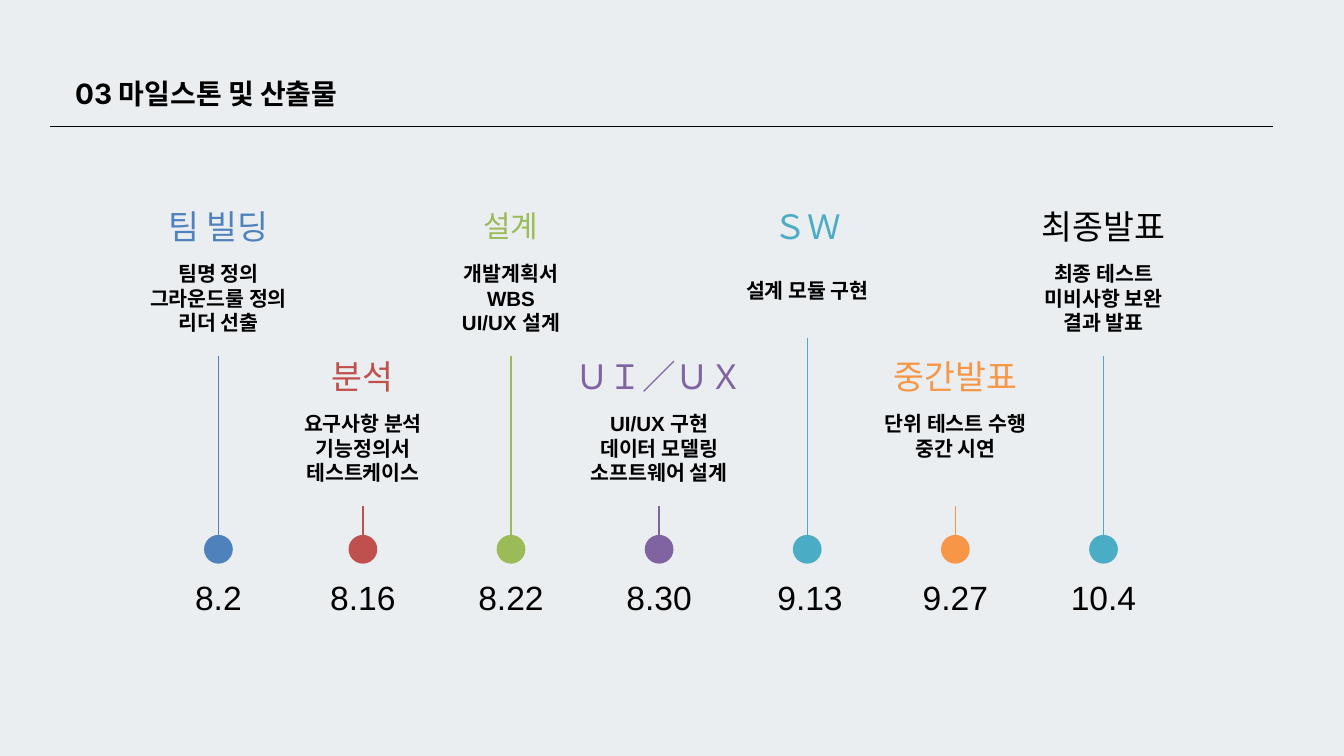
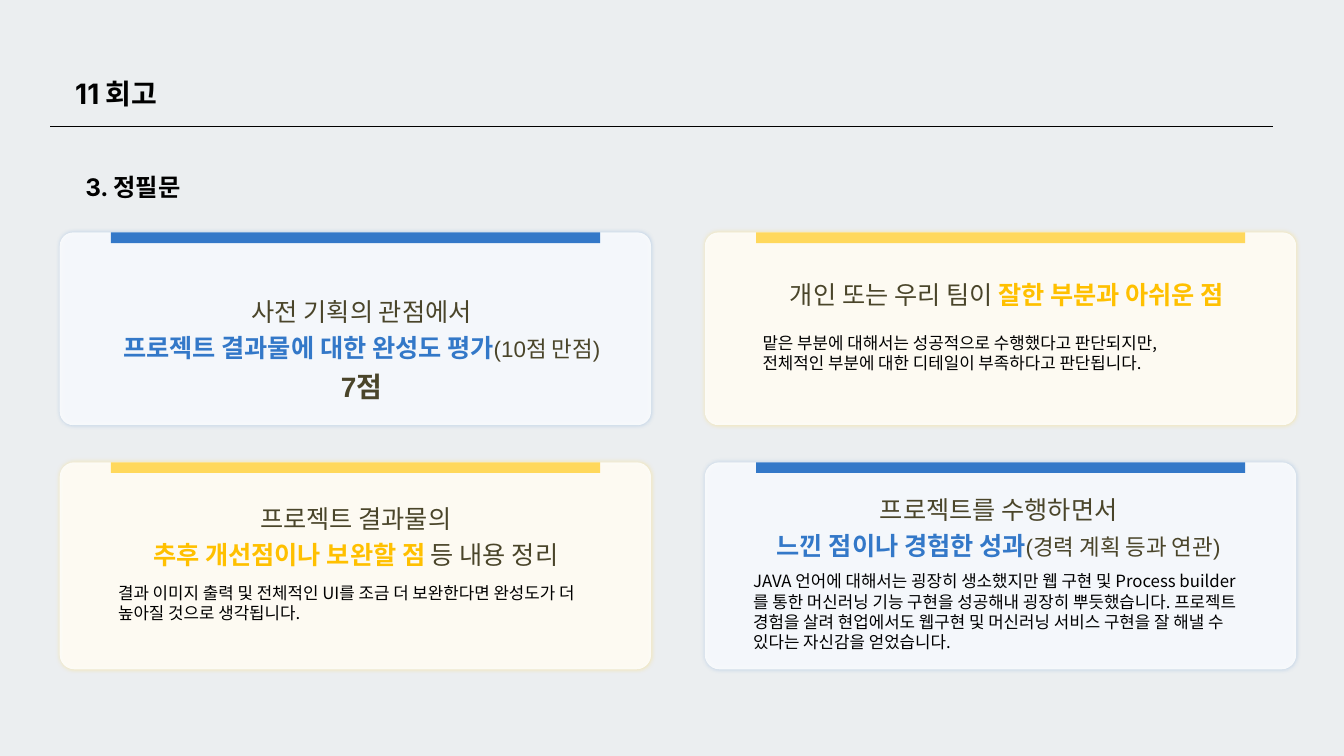
from dataclasses import dataclass
from typing import NamedTuple

from lxml import etree
from pptx import Presentation
from pptx.dml.color import RGBColor
from pptx.enum import shapes as kinds, text as layout
from pptx.oxml import ns
from pptx.util import Pt


@dataclass(frozen=True)
class Theme:
    background: str = "EBEEF0"
    black: str = "000000"
    white: str = "FFFFFF"
    brown: str = "4A452A"
    blue: str = "3378C8"
    yellow: str = "FFD85C"
    gold: str = "FFC000"
    sky: str = "4F81BD"
    red: str = "C0504D"
    green: str = "9BBB59"
    purple: str = "8064A2"
    teal: str = "4BACC6"
    orange: str = "F79646"
    title_font: str = "Inter"
    main_font: str = "Arial"
    body_font: str = "Noto Sans CJK KR"
    title_size: float = 30
    subtitle_size: float = 26
    milestone_size: float = 36
    detail_size: float = 22
    heading_size: float = 27
    note_size: float = 24
    score_size: float = 30
    body_size: float = 18


THEME = Theme()


class Box(NamedTuple):
    left: float
    top: float
    width: float
    height: float

    def inside(self, left, top, width, height):
        return Box(self.left + left, self.top + top, width, height)

    def points(self):
        return [Pt(value) for value in self]


class Style(NamedTuple):
    size: float
    color: str = THEME.black
    bold: bool = False
    name: str = THEME.main_font

    def apply(self, font):
        font.size = Pt(self.size)
        font.bold = self.bold
        font.name = self.name
        font.color.rgb = RGBColor.from_string(self.color)


class Milestone(NamedTuple):
    name: str
    date: str
    color: str
    details: list
    name_color: str = ""
    name_size: float = THEME.milestone_size
    detail_drop: float = 0
    stem_rise: float = 0
    date_shift: float = 0


class Card(NamedTuple):
    column: int
    row: int
    color: str
    shadow_alpha: int
    heading_box: tuple
    heading: list
    spacing: float = 1.2
    body_box: tuple = ()
    body: tuple = ()


HEADING = Style(THEME.heading_size, THEME.brown)
NOTE = Style(THEME.note_size, THEME.brown)
BLUE_HEADING = Style(THEME.heading_size, THEME.blue, True)
GOLD_HEADING = Style(THEME.heading_size, THEME.gold, True)
SCORE = Style(THEME.score_size, THEME.brown, True)
DETAIL = Style(THEME.detail_size, bold=True)
BODY = Style(THEME.body_size, name=THEME.body_font)
TITLE = Style(THEME.title_size, bold=True, name=THEME.title_font)
SUBTITLE = Style(THEME.subtitle_size, bold=True, name=THEME.title_font)

MILESTONES = [
    Milestone("팀 빌딩", "8.2", THEME.sky, ["팀명 정의", "그라운드룰 정의", "리더 선출"]),
    Milestone("분석", "8.16", THEME.red, ["요구사항 분석", "기능정의서", "테스트케이스"]),
    Milestone("설계", "8.22", THEME.green, ["개발계획서", "WBS", "UI/UX 설계"], name_size=32),
    Milestone("ＵＩ／ＵＸ", "8.30", THEME.purple,
              ["UI/UX 구현", "데이터 모델링", "소프트웨어 설계"]),
    Milestone("ＳＷ", "9.13", THEME.teal, ["설계 모듈 구현"],
              detail_drop=18, stem_rise=19.5, date_shift=3),
    Milestone("중간발표", "9.27", THEME.orange, ["단위 테스트 수행", "중간 시연"]),
    Milestone("최종발표", "10.4", THEME.teal, ["최종 테스트", "미비사항 보완", "결과 발표"],
              name_color=THEME.black),
]

CARDS = [
    Card(0, 0, THEME.blue, 30, (25, 58.3, 597, 125.3), [
        [("사전 기획의 관점에서", HEADING)],
        [("프로젝트 결과물에 대한 완성도 평가", BLUE_HEADING), ("(10점 만점)", NOTE)],
        [("7점", SCORE)]]),
    Card(0, 1, THEME.yellow, 55, (44, 33.8, 546, 88), [
        [("프로젝트 결과물의", HEADING)],
        [("추후 개선점이나 보완할 점 ", GOLD_HEADING), ("등 내용 정리", HEADING)]],
        body_box=(55.4, 125.3, 540.7, 51),
        body=("결과 이미지 출력 및 전체적인 UI를 조금 더 보완한다면 완성도가 더 "
              "높아질 것으로 생각됩니다.",)),
    Card(1, 1, THEME.blue, 30, (41.8, 24.5, 546, 88), [
        [("프로젝트를 수행하면서", HEADING)],
        [("느낀 점이나 경험한 성과", BLUE_HEADING), ("(경력 계획 등과 연관)", NOTE)]],
        body_box=(44.6, 113, 540.7, 94.3),
        body=("JAVA 언어에 대해서는 굉장히 생소했지만 웹 구현 및 Process builder를 통한 "
              "머신러닝 기능 구현을 성공해내 굉장히 뿌듯했습니다. 프로젝트 경험을 살려 "
              "현업에서도 웹구현 및 머신러닝 서비스 구현을 잘 해낼 수 있다는 자신감을 "
              "얻었습니다.",)),
    Card(1, 0, THEME.yellow, 55, (28.8, 44, 589.7, 40.3), [
        [("개인 또는 우리 팀이 ", HEADING), ("잘한 부분과 아쉬운 점", GOLD_HEADING)]],
        spacing=1.1, body_box=(54.7, 103.7, 540.7, 51),
        body=("맡은 부분에 대해서는 성공적으로 수행했다고 판단되지만,",
              "전체적인 부분에 대한 디테일이 부족하다고 판단됩니다.")),
]


def add_text(shapes, box, lines, centred=False, middle=False, inset=None,
             spacing=None, grow=True):
    """Each line is a list of (text, style) runs."""
    frame = shapes.add_textbox(*box.points()).text_frame
    frame.word_wrap = True
    frame.auto_size = (layout.MSO_AUTO_SIZE.SHAPE_TO_FIT_TEXT if grow
                       else layout.MSO_AUTO_SIZE.NONE)
    if middle:
        frame.vertical_anchor = layout.MSO_ANCHOR.MIDDLE
    if inset is not None:
        frame.margin_left = frame.margin_right = Pt(inset)
        frame.margin_top = frame.margin_bottom = Pt(inset)
    for index, line in enumerate(lines):
        paragraph = frame.add_paragraph() if index else frame.paragraphs[0]
        if centred:
            paragraph.alignment = layout.PP_ALIGN.CENTER
        if spacing is not None:
            paragraph.line_spacing = spacing
        if len(line) == 1:
            line[0][1].apply(paragraph.font)
        for words, style in line:
            run = paragraph.add_run()
            run.text = words
            if len(line) > 1:
                style.apply(run.font)


def add_filled(shapes, kind, box, color):
    shape = shapes.add_shape(kind, *box.points())
    shape.shadow.inherit = False
    shape.fill.solid()
    shape.fill.fore_color.rgb = RGBColor.from_string(color)
    shape.line.fill.background()
    return shape


def add_line(shapes, start, end, color, width):
    line = shapes.add_connector(kinds.MSO_CONNECTOR.STRAIGHT,
                                *(Pt(value) for value in (*start, *end)))
    line.line.color.rgb = RGBColor.from_string(color)
    line.line.width = Pt(width)
    etree.SubElement(line._element.spPr, ns.qn("a:effectLst"))
    return line


def add_alpha(color_element, percent):
    etree.SubElement(color_element, ns.qn("a:alpha"), val=str(percent * 1000))


def add_glow_shadow(shape, color, percent, blur):
    """Put a soft shadow evenly around the shape."""
    effects = shape._element.spPr.find(ns.qn("a:effectLst"))
    shadow = etree.SubElement(effects, ns.qn("a:outerShdw"), blurRad=str(Pt(blur)),
                              dist="0", dir="0", algn="ctr", rotWithShape="0")
    add_alpha(etree.SubElement(shadow, ns.qn("a:srgbClr"), val=color), percent)


def add_title_line(shapes, box, words, style):
    add_text(shapes, box, [[(words, style)]], inset=0, spacing=Pt(42))


def add_titled_slide(presentation, title):
    slide = presentation.slides.add_slide(presentation.slide_layouts[6])
    slide.background.fill.solid()
    slide.background.fill.fore_color.rgb = RGBColor.from_string(THEME.background)
    add_title_line(slide.shapes, Box(80.6, 75.6, 368.6, 39), title, TITLE)
    add_line(slide.shapes, (54, 135.4), (1363.7, 135.4), THEME.black, 0.75)
    return slide


def draw_milestone(slide, box, milestone):
    """The box runs from the top of the name to the top of the dot."""
    shapes = slide.shapes.add_group_shape().shapes
    center = box.left + box.width / 2
    bottom = box.top + box.height
    dot_size, date_width, detail_height = 30.8, 130, 116
    detail_top = 46.6
    stem_top = box.top + detail_top + detail_height - milestone.stem_rise

    dot = add_filled(shapes, kinds.MSO_SHAPE.OVAL,
                     Box(center - dot_size / 2, bottom, dot_size, dot_size), milestone.color)
    stem = add_line(shapes, (center, stem_top), (center, bottom), milestone.color, 1.5)
    stem.end_connect(dot, 0)
    name_style = Style(milestone.name_size, milestone.name_color or milestone.color)
    labels = [
        (Box(center - date_width / 2 + milestone.date_shift, bottom + 43.2, date_width, 46.8),
         [[(milestone.date, Style(THEME.milestone_size))]], True),
        (box.inside(0, detail_top + milestone.detail_drop, box.width, detail_height),
         [[(detail, DETAIL)] for detail in milestone.details], False),
        (box.inside(0, 0, box.width, 46.8), [[(milestone.name, name_style)]], True),
    ]
    for label_box, lines, middle in labels:
        add_text(shapes, label_box, lines, centred=True, middle=middle, inset=14.4, grow=False)


def draw_timeline(slide, box):
    """Milestones alternate between a high and a low level."""
    step, first_gap, label_width, low_level = 158.7, 154.8, 240, 160.6
    for index, milestone in enumerate(MILESTONES):
        center = first_gap + (index - 1) * step if index else 0
        drop = low_level * (index % 2)
        draw_milestone(slide, box.inside(center - label_width / 2, drop,
                                         label_width, box.height - drop), milestone)


def draw_card(slide, box, card):
    shapes = slide.shapes.add_group_shape().shapes
    panel = add_filled(shapes, kinds.MSO_SHAPE.ROUNDED_RECTANGLE, box, THEME.white)
    panel.adjustments[0] = 0.07
    add_alpha(panel._element.spPr.find(ns.qn("a:solidFill"))[0], 85)
    add_glow_shadow(panel, card.color, card.shadow_alpha, 5)
    add_filled(shapes, kinds.MSO_SHAPE.RECTANGLE,
               box.inside(54.8, 0, 524.2, 11.5), card.color)
    add_text(shapes, box.inside(*card.heading_box), card.heading,
             centred=True, spacing=card.spacing)
    if card.body:
        add_text(shapes, box.inside(*card.body_box), [[(line, BODY)] for line in card.body])


def draw_cards(slide, box):
    column_step, row_step, width = 691.2, 246.3, 633.6
    heights = (206.6, 221.8)
    for card in CARDS:
        draw_card(slide, box.inside(card.column * column_step, card.row * row_step,
                                    width, heights[card.row]), card)


def main():
    presentation = Presentation()
    presentation.slide_width, presentation.slide_height = Pt(1440), Pt(810)

    milestones = add_titled_slide(presentation, "03 마일스톤 및 산출물")
    draw_timeline(milestones, Box(234, 218.7, 948.3, 354.4))

    review = add_titled_slide(presentation, "11 회고")
    draw_cards(review, Box(64, 249, 1324.8, 468.1))
    add_title_line(review.shapes, Box(91.4, 173.5, 368.6, 39), "3. 정필문", SUBTITLE)

    presentation.save("out.pptx")


if __name__ == "__main__":
    main()
